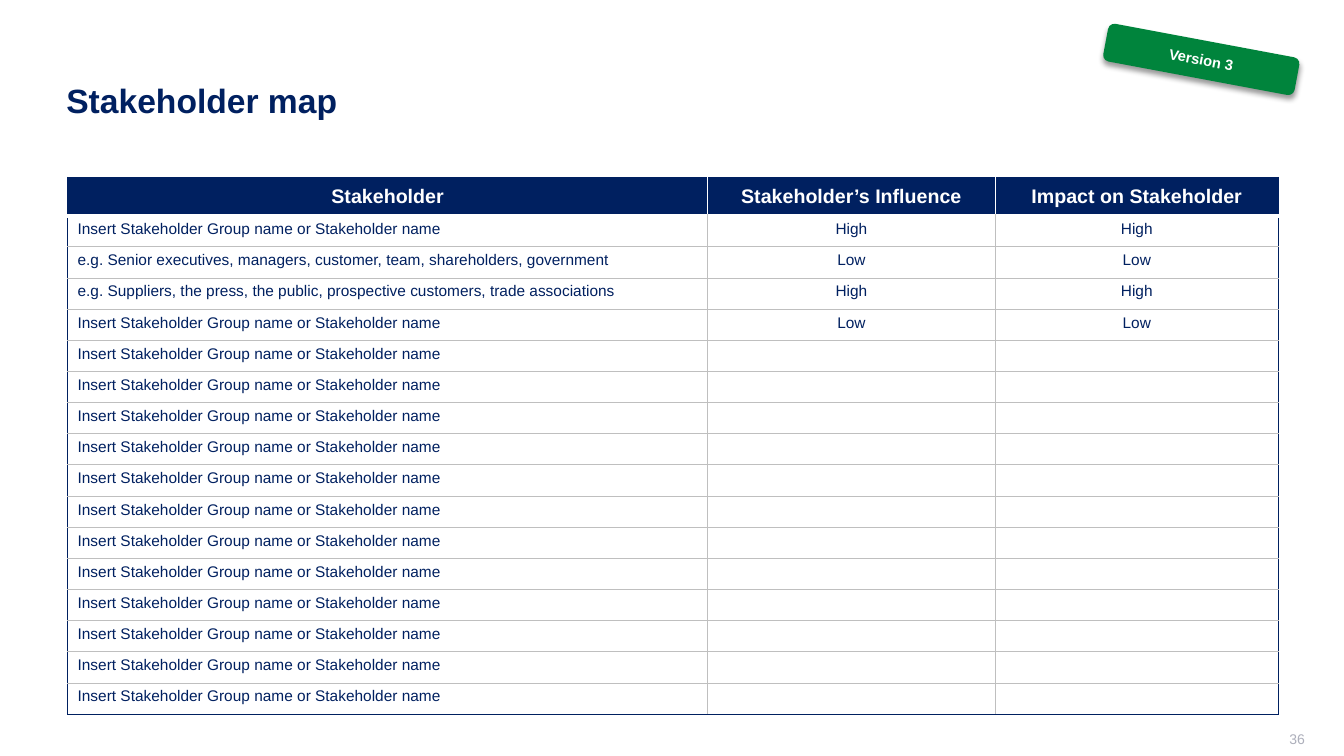
"""Build the stakeholder map slide."""
from lxml.etree import SubElement
from pptx import Presentation
from pptx.dml.color import RGBColor
from pptx.enum.shapes import MSO_SHAPE
from pptx.enum.text import MSO_ANCHOR, PP_ALIGN
from pptx.oxml.ns import qn
from pptx.util import Inches, Pt

TITLE = "Stakeholder map"
BADGE = "Version 3"
PAGE = "36"
HEADS = ("Stakeholder", "Stakeholder’s Influence", "Impact on Stakeholder")
GROUP = "Insert Stakeholder Group name or Stakeholder name"
ROWS = [
    (GROUP, "High", "High"),
    ("e.g. Senior executives, managers, customer, team, shareholders, government", "Low", "Low"),
    ("e.g. Suppliers, the press, the public, prospective customers, trade associations", "High", "High"),
    (GROUP, "Low", "Low"),
] + [(GROUP, "", "")] * 12
HUES = {"navy": "002060", "grey": "BFBFBF", "white": "FFFFFF",
        "green": "00843C", "page": "ADAFBB", "black": "000000"}
FONT = "Arial"
WIDE, HIGH = 13.33, 7.5
LEFT, TOP = 0.67, 1.76
COLS = (6.35, 2.85, 2.81)
HEAD, BODY = 0.38, 4.95


def hue(name):
    return RGBColor.from_string(HUES[name])


def write(frame, text, size, color, bold=False, align=PP_ALIGN.LEFT):
    line = frame.paragraphs[0]
    line.alignment = align
    if text:
        run = line.add_run()
        run.text = text
        run.font.name, run.font.size, run.font.bold = FONT, Pt(size), bold
        run.font.color.rgb = hue(color)
    else:
        SubElement(line._p, qn("a:endParaRPr"), sz=str(size * 100))


def label(slide, box, text, size, color, **style):
    frame = slide.shapes.add_textbox(*map(Inches, box)).text_frame
    frame.word_wrap = True
    frame.vertical_anchor = MSO_ANCHOR.MIDDLE
    write(frame, text, size, color, **style)
    return frame


def tint(parent, name):
    return SubElement(parent, qn("a:srgbClr"), val=HUES[name])


def edge(cell, side, name, width):
    line = SubElement(cell._tc.get_or_add_tcPr(), qn("a:ln" + side), w=str(Pt(width)))
    tint(SubElement(line, qn("a:solidFill")), name)


def edges(row, col):
    rim, grid, gap = ("navy", 0.75), ("grey", 0.75), ("white", 1)
    inner = gap if row == 0 else grid
    top = rim if row == 0 else ("white", 3) if row == 1 else grid
    base = ("white", 3) if row == 0 else rim if row == len(ROWS) else grid
    return {"L": rim if col == 0 else inner,
            "R": rim if col == len(COLS) - 1 else inner,
            "T": top, "B": base}


def chart(slide):
    data = [HEADS] + ROWS
    box = (LEFT, TOP, sum(COLS), HEAD + BODY)
    grid = slide.shapes.add_table(len(data), len(COLS), *map(Inches, box)).table
    grid.horz_banding = False
    for col, width in enumerate(COLS):
        grid.columns[col].width = Inches(width)
    for row, texts in enumerate(data):
        head = row == 0
        grid.rows[row].height = Inches(HEAD if head else BODY / len(ROWS))
        for col, text in enumerate(texts):
            cell = grid.cell(row, col)
            for side, pen in edges(row, col).items():
                edge(cell, side, *pen)
            if head:
                cell.fill.solid()
                cell.fill.fore_color.rgb = hue("navy")
                cell.vertical_anchor = MSO_ANCHOR.MIDDLE
            else:
                cell.fill.background()
            align = PP_ALIGN.CENTER if head or col else PP_ALIGN.LEFT
            write(cell.text_frame, text, 14 if head else 11,
                  "white" if head else "navy", head, align)


def badge(slide):
    box = map(Inches, (10.95, 0.4, 1.93, 0.38))
    tag = slide.shapes.add_shape(MSO_SHAPE.ROUNDED_RECTANGLE, *box)
    tag.rotation = 10.6
    tag.fill.solid()
    tag.fill.fore_color.rgb = hue("green")
    tag.line.fill.background()
    tag.shadow.inherit = False
    glow = tag._element.spPr.find(qn("a:effectLst"))
    shade = SubElement(glow, qn("a:outerShdw"), blurRad=str(Pt(4)),
                       dist=str(Pt(3)), dir="5400000", rotWithShape="0")
    SubElement(tint(shade, "black"), qn("a:alpha"), val="40000")
    tag.text_frame.vertical_anchor = MSO_ANCHOR.MIDDLE
    write(tag.text_frame, BADGE, 10.5, "white", True, PP_ALIGN.CENTER)


def main():
    deck = Presentation()
    deck.slide_width, deck.slide_height = Inches(WIDE), Inches(HIGH)
    slide = deck.slides.add_slide(deck.slide_layouts[6])
    label(slide, (0.56, 0.4, 11, 1.19), TITLE, 24, "navy", bold=True)
    foot = label(slide, (10.04, 7.25, 3, 0.21), PAGE, 10, "page", align=PP_ALIGN.RIGHT)
    foot.margin_top, foot.margin_bottom = 0, Inches(0.05)
    chart(slide)
    badge(slide)
    deck.save("out.pptx")


if __name__ == "__main__":
    main()
